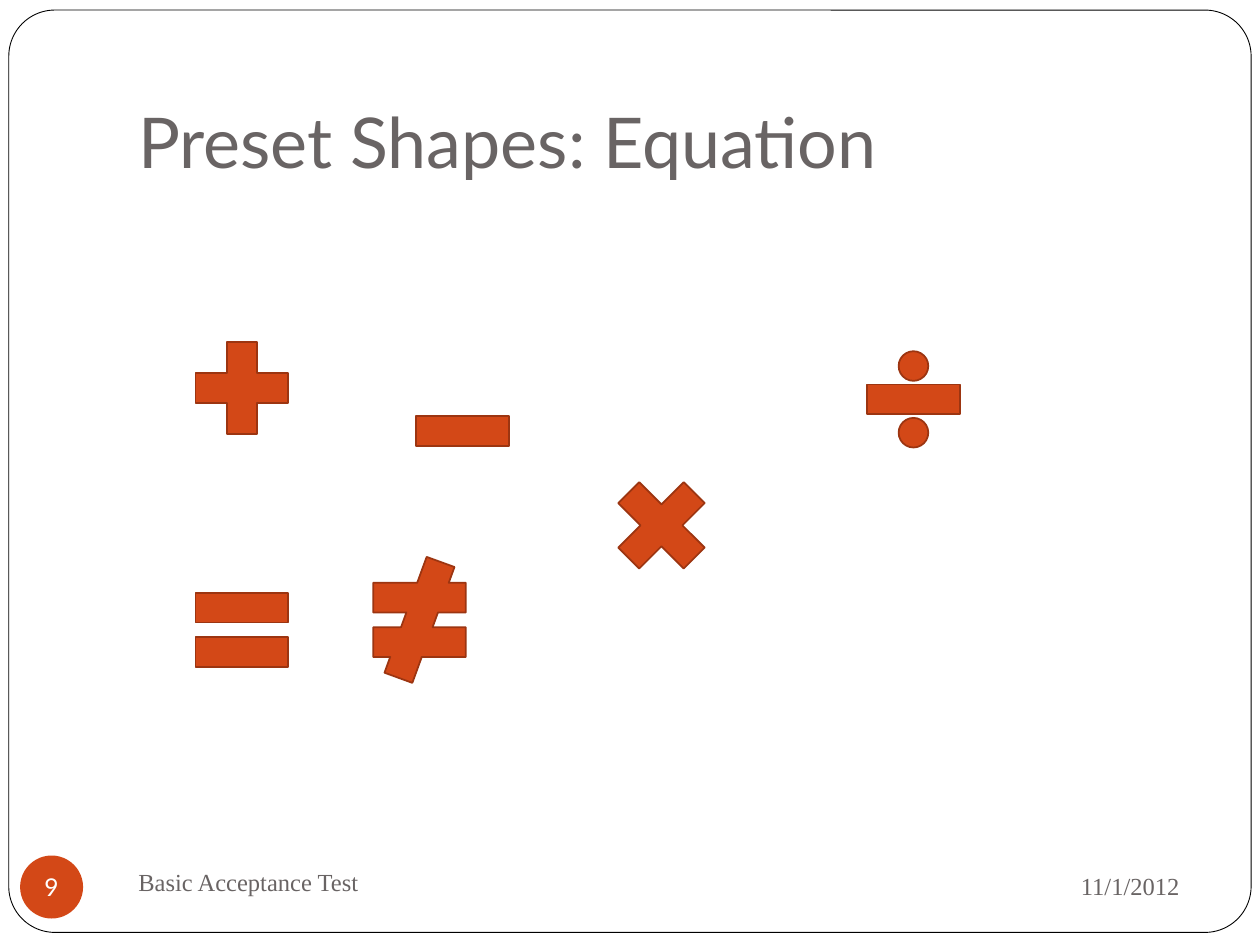
from pptx import Presentation
from pptx.dml.color import RGBColor
from pptx.enum import shapes, text
from pptx.util import Inches, Pt

WHITE = RGBColor(0xFF, 0xFF, 0xFF)
BLACK = RGBColor(0x00, 0x00, 0x00)
GRAY = RGBColor(0x69, 0x64, 0x64)
ORANGE = RGBColor(0xD3, 0x48, 0x17)
RUST = RGBColor(0x9C, 0x35, 0x11)

SANS = "Lato"
SERIF = "Times New Roman"
PRESET = shapes.MSO_SHAPE
ALIGN = text.PP_ALIGN
ANCHOR = text.MSO_ANCHOR
TEXT_INSETS = (0.1, 0.05, 0.1, 0.05)

SYMBOL_SIZE = 1
SYMBOLS = [
    (PRESET.MATH_PLUS, 1.42, 2.58),
    (PRESET.MATH_MINUS, 3.17, 2.92),
    (PRESET.MATH_MULTIPLY, 4.75, 3.67),
    (PRESET.MATH_DIVIDE, 6.75, 2.67),
    (PRESET.MATH_EQUAL, 1.42, 4.5),
    (PRESET.MATH_NOT_EQUAL, 2.83, 4.42),
]


def add_preset(page, preset, bounds, fill, line=None, weight=1):
    shape = page.shapes.add_shape(preset, *map(Inches, bounds))
    shape.shadow.inherit = False
    shape.fill.solid()
    shape.fill.fore_color.rgb = fill
    if line is None:
        shape.line.fill.background()
    else:
        shape.line.color.rgb = line
        shape.line.width = Pt(weight)
    return shape


def write_text(box, words, size, font, color, align=ALIGN.LEFT,
               anchor=ANCHOR.MIDDLE, insets=TEXT_INSETS, wrap=True):
    frame = box.text_frame
    frame.word_wrap = wrap
    frame.vertical_anchor = anchor
    frame.margin_left, frame.margin_top, frame.margin_right, frame.margin_bottom = map(Inches, insets)
    para = frame.paragraphs[0]
    para.alignment = align
    span = para.add_run()
    span.text = words
    span.font.size = Pt(size)
    span.font.name = font
    span.font.color.rgb = color


def add_label(page, bounds, words, size, font, **layout):
    box = page.shapes.add_textbox(*map(Inches, bounds))
    write_text(box, words, size, font, GRAY, **layout)


def add_page_number(page, number):
    badge = add_preset(page, PRESET.OVAL, (0.16, 6.79, 0.5, 0.5), ORANGE)
    write_text(badge, number, 14, SANS, WHITE, align=ALIGN.CENTER,
               insets=(0, 0, 0, 0), wrap=False)


def main():
    deck = Presentation()
    deck.slide_width = Inches(10)
    deck.slide_height = Inches(7.5)
    page = deck.slides.add_slide(deck.slide_layouts[6])

    frame = add_preset(page, PRESET.ROUNDED_RECTANGLE, (0.07, 0.08, 9.86, 7.32),
                       WHITE, BLACK, 0.5)
    frame.adjustments[0] = 0.05

    add_label(page, (1, 0.3, 8.5, 1.25), "Preset Shapes: Equation", 40, SANS,
              anchor=ANCHOR.BOTTOM, insets=(0.1, 0.05, 0.1, 0.1))
    add_label(page, (6.75, 6.77, 2.71, 0.52), "11/1/2012", 14, SERIF, align=ALIGN.RIGHT)
    add_label(page, (1, 6.75, 4.33, 0.5), "Basic Acceptance Test", 14, SERIF)
    add_page_number(page, "9")

    for preset, left, top in SYMBOLS:
        add_preset(page, preset, (left, top, SYMBOL_SIZE, SYMBOL_SIZE), ORANGE, RUST)

    deck.save("out.pptx")


if __name__ == "__main__":
    main()
